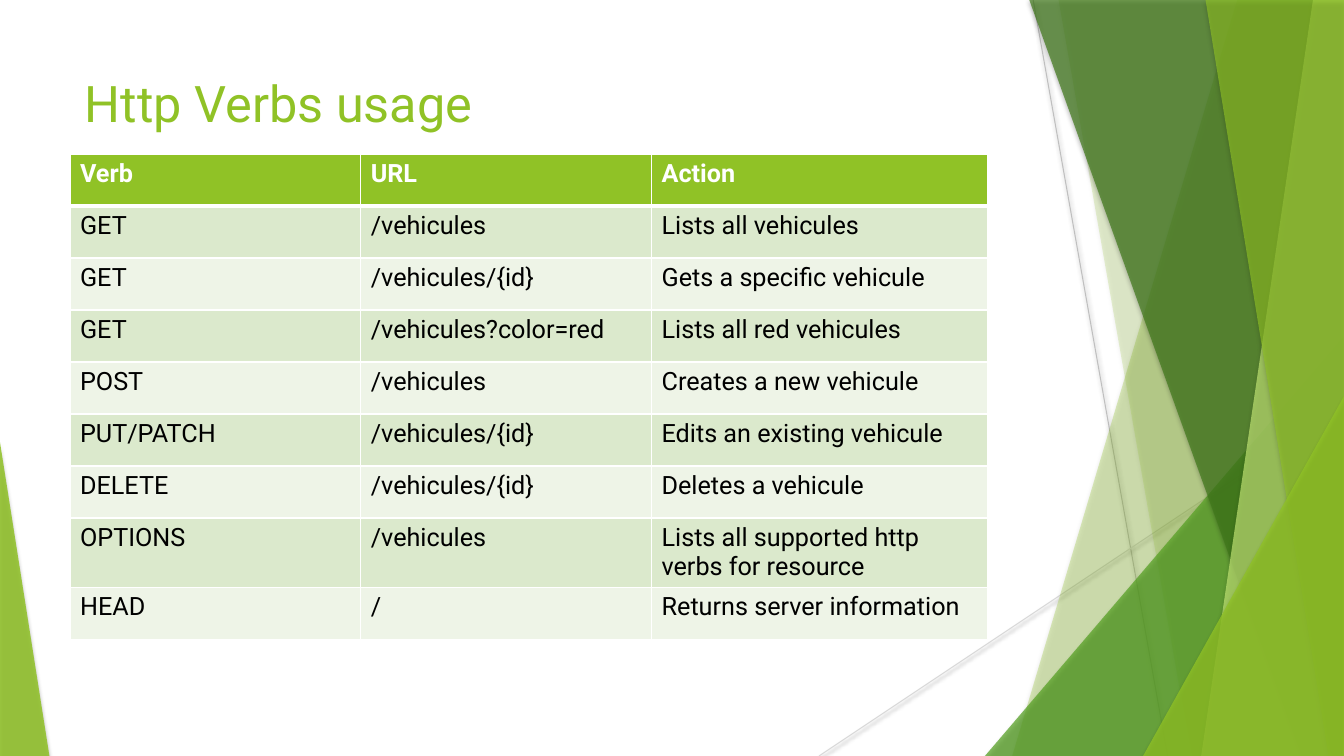
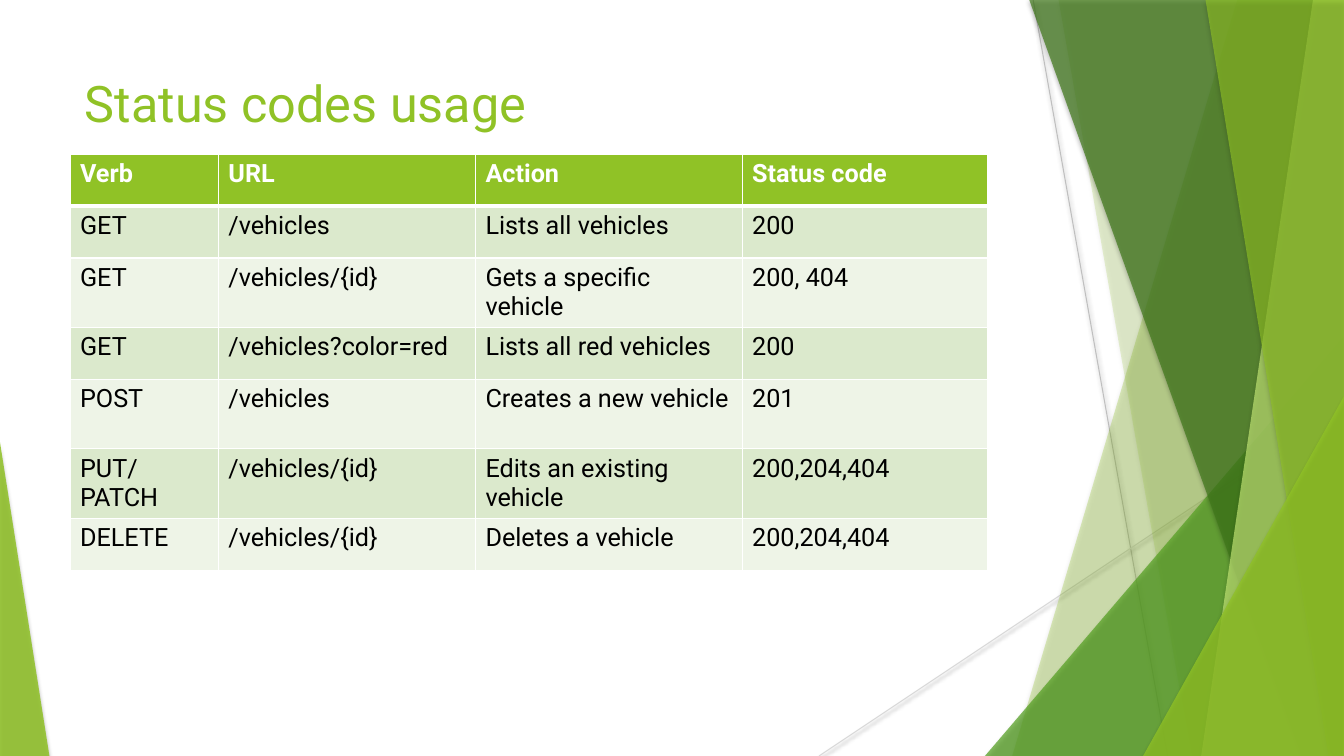
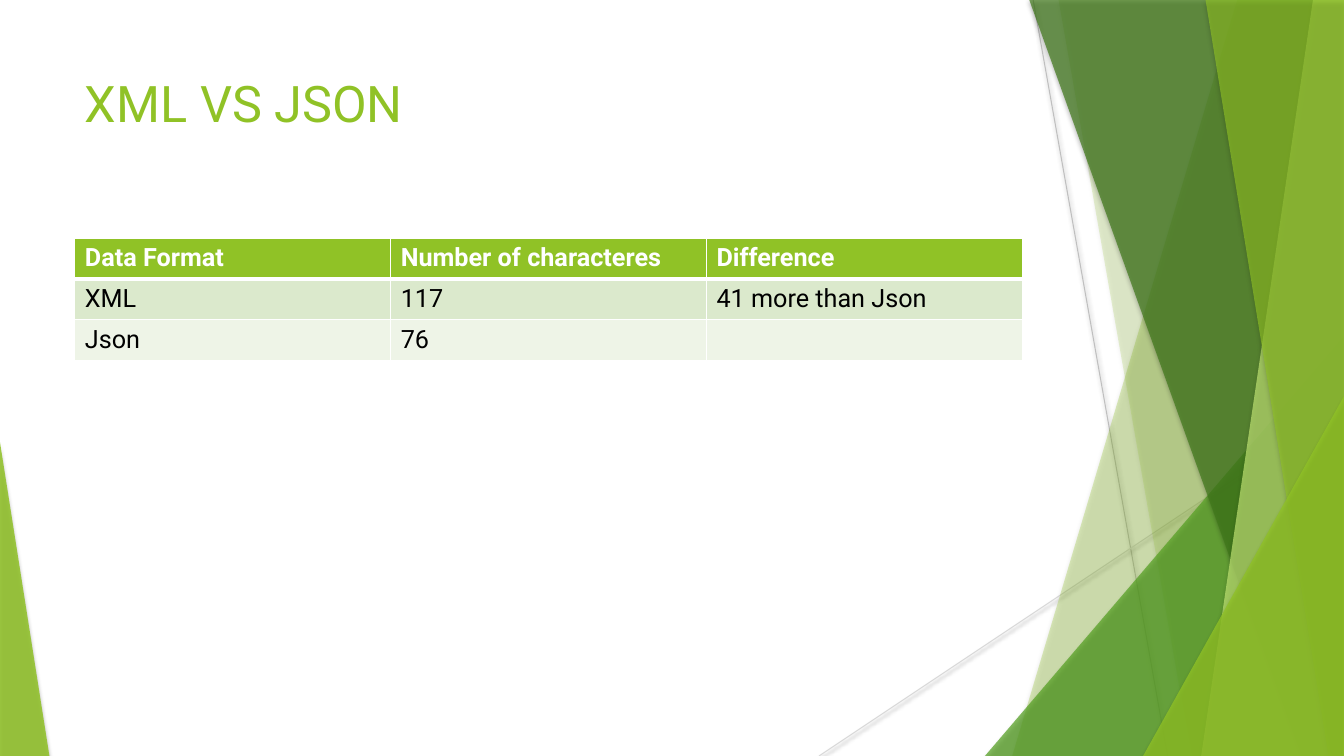
from lxml import etree
from pptx import Presentation
from pptx import util as u
from pptx.dml.color import RGBColor
from pptx.enum import shapes, text
from pptx.oxml.ns import qn

LIME = RGBColor(0x90, 0xC2, 0x26)
GREEN = RGBColor(0x54, 0xA0, 0x21)
DARK_GREEN = RGBColor(0x3F, 0x78, 0x19)
PALE_LIME = RGBColor(0xC0, 0xE4, 0x74)
ROW_TINTS = RGBColor(0xDB, 0xE9, 0xCC), RGBColor(0xEE, 0xF4, 0xE7)
BLACK = RGBColor(0, 0, 0)
WHITE = RGBColor(0xFF, 0xFF, 0xFF)
LINE_GRAY = RGBColor(0xBF, 0xBF, 0xBF)
LIGHT_GRAY = RGBColor(0xD9, 0xD9, 0xD9)
FONT = "Roboto"
WIDTH, HEIGHT = 960, 540

# Thin lines: start, end, colour
LINES = [
    ((738, 0), (834, HEIGHT), LINE_GRAY),
    ((WIDTH, 290), (585, HEIGHT), LIGHT_GRAY),
]

# Bands reach the right edge: top left x, bottom left x.
# Triangles stand on the bottom edge: left, top, width, apex (0 left, 1 right).
DECORATIONS = [
    ("band", (884, 723), LIME, 30),
    ("band", (756, 851), LIME, 20),
    ("triangle", (703.5, 240, 256.5, 1), GREEN, 72),
    ("band", (735, 929.5), DARK_GREEN, 70),
    ("band", (938, 858), PALE_LIME, 70),
    ("band", (861, 949), LIME, 65),
    ("triangle", (816.5, 283, 143.5, 1), LIME, 80),
    ("triangle", (0, 316, 35.3, 0), LIME, 85),
]

# The two verb tables share their place and row heights.
VERB_TABLE = {"left": 50, "top": 110, "row_height": 37.15}
TALL_ROW = 49.6

SLIDES = [
    {
        "title": "Http Verbs usage", **VERB_TABLE,
        "columns": [207.7, 207.7, 240.2], "tall_rows": [7],
        "rows": [
            ["Verb", "URL", "Action"],
            ["GET", "/vehicules", "Lists all vehicules"],
            ["GET", "/vehicules/{id}", "Gets a specific vehicule"],
            ["GET", "/vehicules?color=red", "Lists all red vehicules"],
            ["POST", "/vehicules", "Creates a new vehicule"],
            ["PUT/PATCH", "/vehicules/{id}", "Edits an existing vehicule"],
            ["DELETE", "/vehicules/{id}", "Deletes a vehicule"],
            ["OPTIONS", "/vehicules", "Lists all supported http verbs for resource"],
            ["HEAD", "/", "Returns server information"],
        ],
    },
    {
        "title": "Status codes usage", **VERB_TABLE,
        "columns": [106, 183.6, 190.5, 175.5], "tall_rows": [2, 4, 5],
        "rows": [
            ["Verb", "URL", "Action", "Status code"],
            ["GET", "/vehicles", "Lists all vehicles", "200"],
            ["GET", "/vehicles/{id}", "Gets a specific vehicle", "200, 404"],
            ["GET", "/vehicles?color=red", "Lists all red vehicles", "200"],
            ["POST", "/vehicles", "Creates a new vehicle", "201"],
            ["PUT/PATCH", "/vehicles/{id}", "Edits an existing vehicle", "200,204,404"],
            ["DELETE", "/vehicles/{id}", "Deletes a vehicle", "200,204,404"],
        ],
    },
    {
        "title": "XML VS JSON", "left": 53.5, "top": 170, "row_height": 29.2,
        "columns": [225.6] * 3, "tall_rows": [],
        "rows": [
            ["Data Format", "Number of characteres", "Difference"],
            ["XML", "117", "41 more than Json"],
            ["Json", "76", ""],
        ],
    },
]


def add_shadow(shape, opacity, blur, distance):
    """Give the shape a soft black shadow falling straight down."""
    effects = etree.SubElement(shape.element.spPr, qn("a:effectLst"))
    shadow = etree.SubElement(
        effects, qn("a:outerShdw"), blurRad=str(u.Pt(blur)), dist=str(u.Pt(distance)),
        dir="5400000", rotWithShape="0")
    color = etree.SubElement(shadow, qn("a:srgbClr"), val=str(BLACK))
    etree.SubElement(color, qn("a:alpha"), val=str(opacity * 1000))


def add_run(paragraph, content, size, color, bold=False):
    run = paragraph.add_run()
    run.text = content
    run.font.name = FONT
    run.font.size = u.Pt(size)
    run.font.bold = bold
    run.font.color.rgb = color


presentation = Presentation()
presentation.slide_width = u.Pt(WIDTH)
presentation.slide_height = u.Pt(HEIGHT)

# Shared layout: title place and no footers
layout = presentation.slide_layouts[5]
for placeholder in list(layout.placeholders):
    if placeholder.placeholder_format.type == shapes.PP_PLACEHOLDER.TITLE:
        placeholder.left, placeholder.top = u.Pt(53.5), u.Pt(48)
        placeholder.width, placeholder.height = u.Pt(676.8), u.Pt(104)
        placeholder.text_frame.vertical_anchor = text.MSO_ANCHOR.TOP
    else:
        placeholder.element.getparent().remove(placeholder.element)

slides = [presentation.slides.add_slide(layout) for _ in SLIDES]

# Layouts cannot create shapes, so the decoration is drawn on a slide and moved.
canvas = slides[0].shapes
decoration = []
for start, end, color in LINES:
    line = canvas.add_connector(
        shapes.MSO_CONNECTOR.STRAIGHT, *[u.Pt(value) for value in start + end])
    line.line.color.rgb = color
    line.line.width = u.Pt(0.75)
    add_shadow(line, 38, 3.1, 1.6)
    decoration.append(line)

for kind, geometry, color, opacity in DECORATIONS:
    if kind == "band":
        top_x, bottom_x = geometry
        corners = [(WIDTH, -0.7), (WIDTH, HEIGHT), (bottom_x, HEIGHT)]
        builder = canvas.build_freeform(u.Pt(top_x), u.Pt(-0.7))
        builder.add_line_segments([(u.Pt(x), u.Pt(y)) for x, y in corners])
        shape = builder.convert_to_shape()
    else:
        left, top, width, apex = geometry
        shape = canvas.add_shape(
            shapes.MSO_SHAPE.ISOSCELES_TRIANGLE,
            u.Pt(left), u.Pt(top), u.Pt(width), u.Pt(HEIGHT - top))
        shape.adjustments[0] = apex
    shape.fill.solid()
    shape.fill.fore_color.rgb = color
    fill_color = shape.element.spPr.find(qn("a:solidFill")).find(qn("a:srgbClr"))
    etree.SubElement(fill_color, qn("a:alpha"), val=str(opacity * 1000))
    shape.line.fill.background()
    add_shadow(shape, 35, 3, 2)
    decoration.append(shape)

for shape in decoration:
    layout.shapes.element.append(shape.element)

for slide, content in zip(slides, SLIDES):
    title = slide.shapes.title.text_frame.paragraphs[0]
    title.alignment = text.PP_ALIGN.LEFT
    add_run(title, content["title"], 36, LIME)

    rows, columns = content["rows"], content["columns"]
    heights = [TALL_ROW if index in content["tall_rows"] else content["row_height"]
               for index in range(len(rows))]
    table = slide.shapes.add_table(
        len(rows), len(columns), u.Pt(content["left"]), u.Pt(content["top"]),
        u.Pt(sum(columns)), u.Pt(sum(heights))).table
    for column, width in zip(table.columns, columns):
        column.width = u.Pt(width)

    for row_index, (row, height) in enumerate(zip(rows, heights)):
        table.rows[row_index].height = u.Pt(height)
        is_header = row_index == 0
        borders = {"a:lnL": 0.96, "a:lnR": 0.96,
                   "a:lnT": 3 if row_index == 1 else 0.96,
                   "a:lnB": 3 if is_header else 0.96}
        for column_index, value in enumerate(row):
            cell = table.cell(row_index, column_index)
            properties = cell._tc.get_or_add_tcPr()
            for side, weight in borders.items():
                border = etree.SubElement(properties, qn(side), w=str(u.Pt(weight)))
                border_fill = etree.SubElement(border, qn("a:solidFill"))
                etree.SubElement(border_fill, qn("a:srgbClr"), val=str(WHITE))
            cell.fill.solid()
            cell.fill.fore_color.rgb = LIME if is_header else ROW_TINTS[(row_index - 1) % 2]
            if value:
                add_run(cell.text_frame.paragraphs[0], value, 18,
                        WHITE if is_header else BLACK, is_header)

presentation.save("out.pptx")
